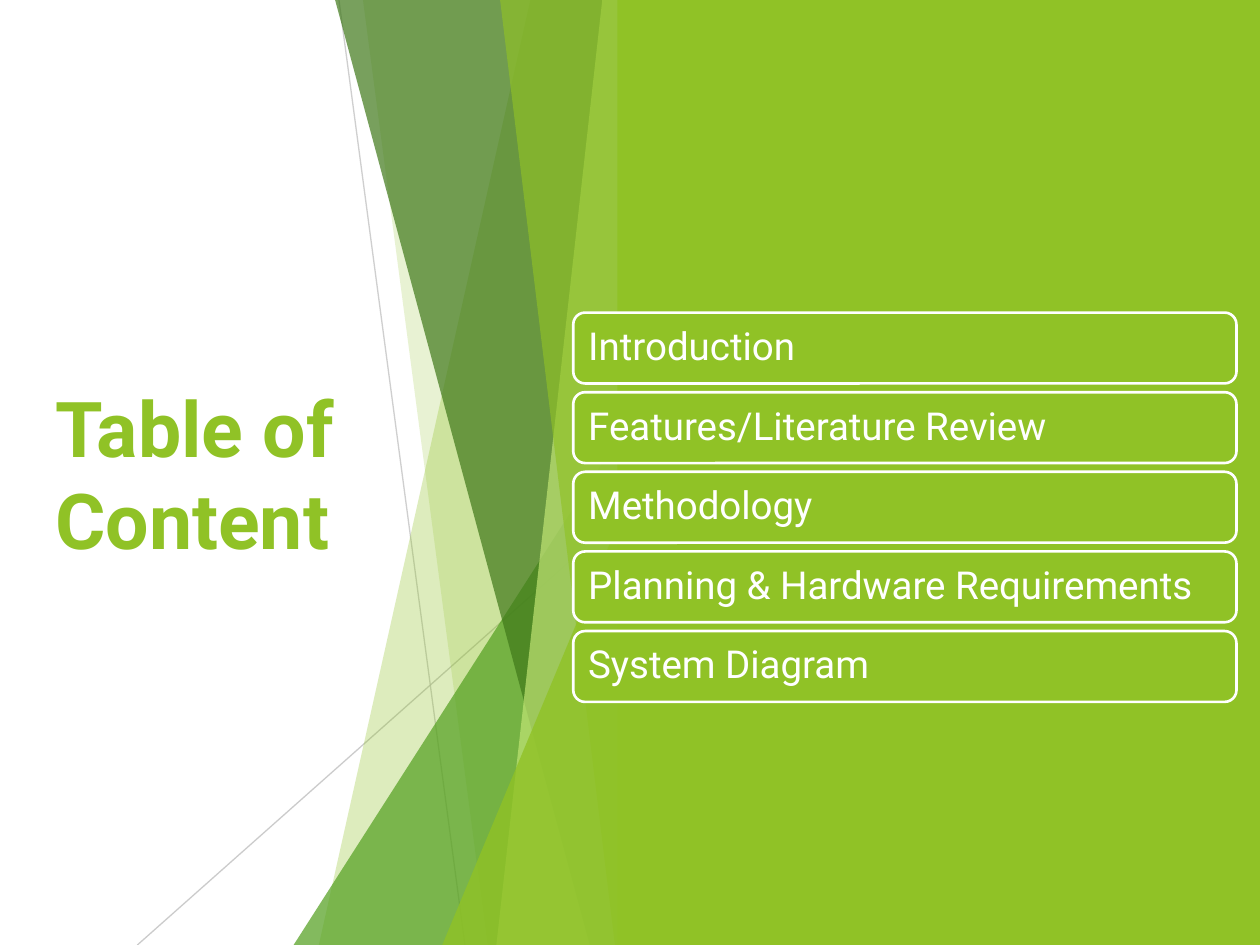
from lxml.etree import SubElement
from pptx import Presentation
from pptx.dml.color import RGBColor
from pptx.enum.shapes import MSO_CONNECTOR, MSO_SHAPE
from pptx.enum.text import MSO_ANCHOR, MSO_AUTO_SIZE, PP_ALIGN
from pptx.oxml.ns import qn
from pptx.util import Pt

WIDTH, HEIGHT = 720, 540
LIME, GREEN, DARK, PALE = "90C226", "54A021", "3F7819", "C0E474"
WHITE, GREY = "FFFFFF", "BFBFBF"
FACET_EDGE = 360  # shared right edge of the facets

TITLE_FRAME = {"vertical_anchor": MSO_ANCHOR.MIDDLE, "word_wrap": True,
               "auto_size": MSO_AUTO_SIZE.NONE}
ITEM_FRAME = {**TITLE_FRAME, "margin_left": Pt(6.6), "margin_right": Pt(6.6),
              "margin_top": Pt(4.8), "margin_bottom": Pt(4.8)}
TITLE_FONT = {"name": "Roboto", "size": Pt(44), "bold": True}
ITEM_FONT = {"name": "Roboto", "size": Pt(22), "bold": False}


def set_fill(fill, color, opacity=100):
    fill.solid()
    fill.fore_color.rgb = RGBColor.from_string(color)
    return opacity


def set_opacity(parent, opacity):
    color = next(parent.iter(qn("a:srgbClr")))
    SubElement(color, qn("a:alpha"), val=str(opacity * 1000))


def set_attributes(target, values):
    for name, value in values.items():
        setattr(target, name, value)


class SlideBuilder:
    def __init__(self, slide):
        self.shapes = slide.shapes

    def paint(self, shape, color, opacity=100, outline=None):
        shape.shadow.inherit = False
        set_fill(shape.fill, color)
        if opacity < 100:
            set_opacity(shape._element.spPr, opacity)
        if outline:
            set_fill(shape.line.fill, outline)
            shape.line.width = Pt(1.5)
        else:
            shape.line.fill.background()
        return shape

    def shape(self, kind, left, top, width, height, color, opacity=100, outline=None):
        shape = self.shapes.add_shape(kind, Pt(left), Pt(top), Pt(width), Pt(height))
        return self.paint(shape, color, opacity, outline)

    def line(self, start, end, opacity):
        connector = self.shapes.add_connector(
            MSO_CONNECTOR.STRAIGHT, *(Pt(value) for value in (*start, *end)))
        set_fill(connector.line.fill, GREY)
        connector.line.width = Pt(0.75)
        properties = connector._element.spPr
        set_opacity(properties, opacity)
        SubElement(properties, qn("a:effectLst"))

    def band(self, top_x, bottom_x, color, opacity):
        """Facet with a slanted left side, as tall as the slide."""
        outline = self.shapes.build_freeform(Pt(top_x), Pt(0))
        corners = [(FACET_EDGE, 0), (FACET_EDGE, HEIGHT), (bottom_x, HEIGHT)]
        outline.add_line_segments([(Pt(x), Pt(y)) for x, y in corners], close=True)
        self.paint(outline.convert_to_shape(), color, opacity)

    def wedge(self, left, top, color, opacity):
        """Right-angled triangle standing in the facets' lower right corner."""
        triangle = self.shape(MSO_SHAPE.ISOSCELES_TRIANGLE, left, top,
                              FACET_EDGE - left, HEIGHT - top, color, opacity)
        triangle.adjustments[0] = 1

    def add_text(self, shape, text, frame_format, font_format, color):
        frame = shape.text_frame
        set_attributes(frame, frame_format)
        paragraph = frame.paragraphs[0]
        paragraph.alignment = PP_ALIGN.LEFT
        run = paragraph.add_run()
        run.text = text
        set_attributes(run.font, font_format)
        set_fill(run.font.fill, color)
        return paragraph

    def title(self, text, left, top, width, height):
        title = self.shapes.title
        set_attributes(title, {"left": Pt(left), "top": Pt(top),
                               "width": Pt(width), "height": Pt(height)})
        self.add_text(title, text, TITLE_FRAME, TITLE_FONT, LIME)

    def item(self, text, left, top, width, height):
        box = self.shape(MSO_SHAPE.ROUNDED_RECTANGLE, left, top, width, height,
                         LIME, outline=WHITE)
        paragraph = self.add_text(box, text, ITEM_FRAME, ITEM_FONT, WHITE)
        paragraph.line_spacing = 0.9


def main():
    presentation = Presentation()
    presentation.slide_width, presentation.slide_height = Pt(WIDTH), Pt(HEIGHT)
    builder = SlideBuilder(presentation.slides.add_slide(presentation.slide_layouts[5]))

    builder.title("Table of Content", 24.5, 108.7, 215.3, 322.6)

    # Thin lines and translucent facets
    builder.line((193.7, 0), (265.7, HEIGHT), 75)
    builder.line((FACET_EDGE, 290.2), (78.5, HEIGHT), 80)
    builder.band(303.1, 182.2, LIME, 30)
    builder.band(207.4, 278.6, LIME, 20)
    builder.wedge(167.8, 239.8, GREEN, 72)
    builder.band(191.5, 337, DARK, 70)
    builder.band(344.2, 283.7, PALE, 70)
    builder.band(285.8, 351.4, LIME, 65)
    builder.wedge(252.7, 283, LIME, 80)

    # Right panel
    panel_left = 352.8
    builder.shape(MSO_SHAPE.RECTANGLE, panel_left, 0, WIDTH - panel_left, HEIGHT, LIME)

    # Contents list
    items = ["Introduction", "Features/Literature Review", "Methodology",
             "Planning & Hardware Requirements", "System Diagram"]
    for index, text in enumerate(items):
        builder.item(text, 327.6, 178.6 + 45.5 * index, 379, 40.5)

    presentation.save("out.pptx")


if __name__ == "__main__":
    main()
